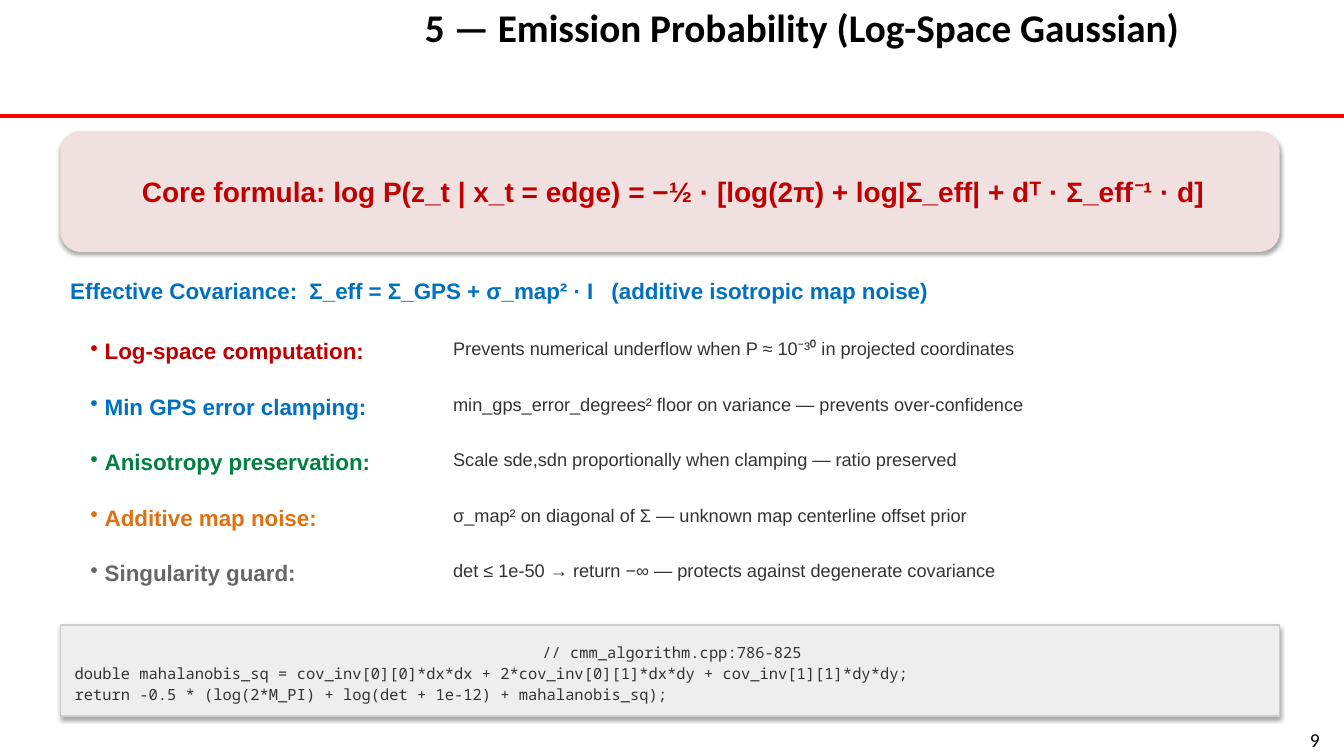
from lxml.etree import SubElement
from pptx import Presentation
from pptx.dml.color import RGBColor
from pptx.enum.shapes import MSO_CONNECTOR, MSO_SHAPE
from pptx.enum.text import MSO_ANCHOR, MSO_AUTO_SIZE, PP_ALIGN
from pptx.oxml.ns import qn
from pptx.util import Cm, Pt

BLACK = RGBColor(0x00, 0x00, 0x00)
DARK = RGBColor(0x33, 0x33, 0x33)
GREY = RGBColor(0x66, 0x66, 0x66)
CRIMSON = RGBColor(0xC0, 0x00, 0x00)
BLUE = RGBColor(0x00, 0x70, 0xC0)
GREEN = RGBColor(0x00, 0x80, 0x40)
ORANGE = RGBColor(0xE0, 0x70, 0x10)
RULE_RED = RGBColor(0xFF, 0x00, 0x00)
PALE_PINK = RGBColor(0xF0, 0xE0, 0xE0)
CODE_FILL = RGBColor(0xEE, 0xEE, 0xEE)
CODE_EDGE = RGBColor(0xCC, 0xCC, 0xCC)

SLIDE_WIDTH, SLIDE_HEIGHT = Cm(33.87), Cm(19.05)
CONTENT_LEFT, CONTENT_WIDTH = Cm(1.52), Cm(30.73)

PROPERTIES = [
    ("Log-space computation:", CRIMSON,
     "Prevents numerical underflow when P ≈ 10⁻³⁰ in projected coordinates"),
    ("Min GPS error clamping:", BLUE,
     "min_gps_error_degrees² floor on variance — prevents over-confidence"),
    ("Anisotropy preservation:", GREEN,
     "Scale sde,sdn proportionally when clamping — ratio preserved"),
    ("Additive map noise:", ORANGE,
     "σ_map² on diagonal of Σ — unknown map centerline offset prior"),
    ("Singularity guard:", GREY,
     "det ≤ 1e-50 → return −∞ — protects against degenerate covariance"),
]
CODE_LINES = [
    "// cmm_algorithm.cpp:786-825",
    "double mahalanobis_sq = cov_inv[0][0]*dx*dx + 2*cov_inv[0][1]*dx*dy + cov_inv[1][1]*dy*dy;",
    "return -0.5 * (log(2*M_PI) + log(det + 1e-12) + mahalanobis_sq);",
]


def write(paragraph, text, size, color, font="Arial", bold=False,
          align=PP_ALIGN.LEFT, bullet=False, tabs=()):
    """Put formatted text into a paragraph, with optional bullet and tab stops."""
    paragraph.alignment = align
    properties = paragraph._p.get_or_add_pPr()
    if bullet:
        properties.set("marL", str(Cm(0.36)))
        properties.set("indent", str(-Cm(0.36)))
        SubElement(properties, qn("a:buChar"), char="•")
    if tabs:
        stops = SubElement(properties, qn("a:tabLst"))
        for stop in tabs:
            SubElement(stops, qn("a:tab"), pos=str(stop), algn="l")
    run = paragraph.add_run()
    run.text = text
    run.font.name = font
    run.font.size = Pt(size)
    run.font.bold = bold
    run.font.color.rgb = color


def add_label(slide, box, text, wrap=True, **style):
    """Add a text box that holds one paragraph."""
    frame = slide.shapes.add_textbox(*box).text_frame
    frame.word_wrap = wrap
    frame.auto_size = MSO_AUTO_SIZE.SHAPE_TO_FIT_TEXT
    write(frame.paragraphs[0], text, **style)


def add_panel(slide, box, preset, fill, edge=None):
    """Add a filled panel with a soft shadow and return its text frame."""
    panel = slide.shapes.add_shape(preset, *box)
    panel.fill.solid()
    panel.fill.fore_color.rgb = fill
    if edge is None:
        panel.line.fill.background()
    else:
        panel.line.color.rgb = edge
        panel.line.width = Pt(1)
    panel.shadow.inherit = False
    effects = panel._element.spPr.find(qn("a:effectLst"))
    shadow = SubElement(effects, qn("a:outerShdw"), blurRad=str(Pt(3.1)),
                        dist=str(Pt(1.8)), dir="5400000", rotWithShape="0")
    tint = SubElement(shadow, qn("a:srgbClr"), val=str(BLACK))
    SubElement(tint, qn("a:alpha"), val="35000")
    frame = panel.text_frame
    frame.word_wrap = True
    frame.vertical_anchor = MSO_ANCHOR.MIDDLE
    return frame


def add_header(slide, left, top, width, height):
    """Place the title and the red rule below it."""
    rule = slide.shapes.add_connector(MSO_CONNECTOR.STRAIGHT, left, top + height,
                                      left + width, top + height)
    rule.line.color.rgb = RULE_RED
    rule.line.width = Pt(3)
    SubElement(rule._element.spPr, qn("a:effectLst"))
    add_label(slide, (left + Cm(10.46), top - Cm(0.05), Cm(22.61), height),
              "5 — Emission Probability (Log-Space Gaussian)",
              size=28, color=BLACK, font="Calibri", bold=True)


def add_formula(slide, left, top, width, height):
    """Place the core formula panel."""
    frame = add_panel(slide, (left, top, width, height),
                      MSO_SHAPE.ROUNDED_RECTANGLE, PALE_PINK)
    frame.margin_left = Cm(0.43)
    write(frame.paragraphs[0],
          "Core formula: log P(z_t | x_t = edge) = −½ · [log(2π) + log|Σ_eff| + dᵀ · Σ_eff⁻¹ · d]",
          size=20, color=CRIMSON, bold=True, align=PP_ALIGN.CENTER)


def add_properties(slide, left, top, width, height):
    """Place the covariance heading and the rows of named properties."""
    add_label(slide, (left, top, width, Cm(1.02)),
              "Effective Covariance:\tΣ_eff = Σ_GPS + σ_map² · I\t(additive isotropic map noise)",
              size=16, color=BLUE, bold=True, tabs=(Cm(6.03), Cm(13.64)))
    first_row, row_height = top + Cm(1.52), Cm(0.76)
    pitch = (top + height - row_height - first_row) // (len(PROPERTIES) - 1)
    detail_offset = Cm(9.65)
    for index, (name, color, detail) in enumerate(PROPERTIES):
        row = first_row + index * pitch
        add_label(slide, (left + Cm(0.51), row, Cm(8.89), row_height), name,
                  size=16, color=color, bold=True, bullet=True)
        add_label(slide, (left + detail_offset, row, width - detail_offset, row_height),
                  detail, size=13, color=DARK)


def add_code(slide, left, top, width, height):
    """Place the code panel with its centred file reference."""
    frame = add_panel(slide, (left, top, width, height),
                      MSO_SHAPE.RECTANGLE, CODE_FILL, CODE_EDGE)
    frame.margin_left, frame.margin_top = Cm(0.36), Cm(0.28)
    for index, line in enumerate(CODE_LINES):
        paragraph = frame.add_paragraph() if index else frame.paragraphs[0]
        if index:
            paragraph.space_before = Pt(1)
        paragraph.space_after = Pt(1)
        write(paragraph, line, size=11, color=DARK, font="Noto Sans Mono",
              align=PP_ALIGN.LEFT if index else PP_ALIGN.CENTER)


def main():
    """Build the slide and save it."""
    deck = Presentation()
    deck.slide_width, deck.slide_height = SLIDE_WIDTH, SLIDE_HEIGHT
    slide = deck.slides.add_slide(deck.slide_layouts[6])
    add_header(slide, 0, 0, SLIDE_WIDTH, Cm(2.92))
    add_formula(slide, CONTENT_LEFT, Cm(3.3), CONTENT_WIDTH, Cm(3.05))
    add_properties(slide, CONTENT_LEFT, Cm(6.86), CONTENT_WIDTH, Cm(7.87))
    add_code(slide, CONTENT_LEFT, Cm(15.75), CONTENT_WIDTH, Cm(2.29))
    add_label(slide, (Cm(32.59), Cm(18.21), Cm(1.09), Cm(0.84)), "9", wrap=False,
              size=14, color=BLACK, font="Calibri", align=PP_ALIGN.CENTER)
    deck.save("out.pptx")


if __name__ == "__main__":
    main()
